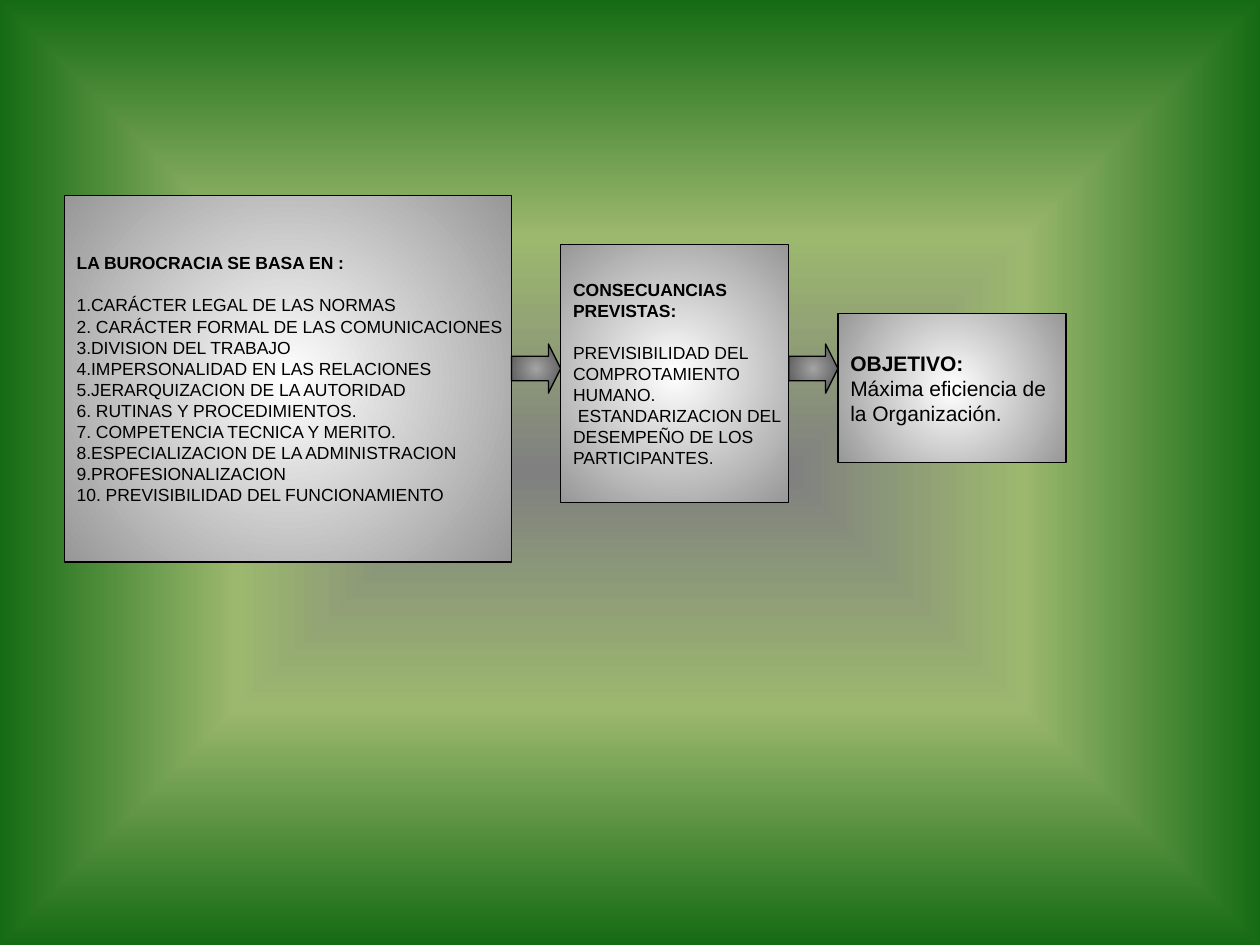
from dataclasses import dataclass
from lxml.etree import SubElement
from pptx import Presentation
from pptx.dml.color import RGBColor
from pptx.enum.shapes import MSO_SHAPE
from pptx.enum.text import MSO_ANCHOR, PP_ALIGN
from pptx.oxml.ns import qn
from pptx.util import Inches, Pt


@dataclass(frozen=True)
class Theme:
    font: str = "Arial"
    ink: RGBColor = RGBColor(0, 0, 0)
    backdrop: tuple = ((0, "808080"), (50, "9CB86E"), (100, "156B13"))
    box: tuple = ((0, "FFFFFF"), (100, "979797"))
    arrow: tuple = ((0, "A4A4A4"), (100, "4C4C4C"))
    list_size: int = 10
    goal_size: int = 12
    line: float = 0.75


def center_gradient(fill, root, stops, path):
    fill.solid()
    solid = root.find(".//" + qn("a:solidFill"))
    grad = solid.makeelement(qn("a:gradFill"), {"rotWithShape": "1"})
    solid.getparent().replace(solid, grad)
    gs_lst = SubElement(grad, qn("a:gsLst"))
    for pos, color in stops:
        gs = SubElement(gs_lst, qn("a:gs"), pos=str(pos * 1000))
        SubElement(gs, qn("a:srgbClr"), val=color)
    shade = SubElement(grad, qn("a:path"), path=path)
    SubElement(shade, qn("a:fillToRect"), l="50000", t="50000", r="50000", b="50000")


def add_block(shapes, kind, left, top, width, height, stops):
    sp = shapes.add_shape(kind, Inches(left), Inches(top), Inches(width), Inches(height))
    sp.shadow.inherit = False
    center_gradient(sp.fill, sp.element.spPr, stops, "circle")
    sp.line.color.rgb = theme.ink
    sp.line.width = Pt(theme.line)
    return sp


theme = Theme()
prs = Presentation()
prs.slide_width, prs.slide_height = Inches(10), Inches(7.5)
s = prs.slides.add_slide(prs.slide_layouts[6])
center_gradient(s.background.fill, s.element, theme.backdrop, "rect")

boxes = [
    (1.55, 3.55, 2.91, theme.list_size, 12, ["LA BUROCRACIA SE BASA EN :"], [
        "1.CARÁCTER LEGAL DE LAS NORMAS",
        "2. CARÁCTER FORMAL DE LAS COMUNICACIONES",
        "3.DIVISION DEL TRABAJO",
        "4.IMPERSONALIDAD EN LAS RELACIONES",
        "5.JERARQUIZACION DE LA AUTORIDAD",
        "6. RUTINAS Y PROCEDIMIENTOS.",
        "7. COMPETENCIA TECNICA Y MERITO.",
        "8.ESPECIALIZACION DE LA ADMINISTRACION",
        "9.PROFESIONALIZACION",
        "10. PREVISIBILIDAD DEL FUNCIONAMIENTO",
    ]),
    (1.94, 1.81, 2.05, theme.list_size, 12, ["CONSECUANCIAS", "PREVISTAS:"], [
        "PREVISIBILIDAD DEL",
        "COMPROTAMIENTO",
        "HUMANO.",
        " ESTANDARIZACION DEL",
        "DESEMPEÑO DE LOS",
        "PARTICIPANTES.",
    ]),
    (2.49, 1.81, 1.18, theme.goal_size, 0, ["OBJETIVO:"], [
        "Máxima eficiencia de",
        "la Organización.",
    ]),
]
arrow_top, arrow_side = 2.73, 0.39

flow = s.shapes.add_group_shape().shapes
left = 0.51
for n, (top, width, height, size, gap, heading, body) in enumerate(boxes):
    if n:
        sp = add_block(flow, MSO_SHAPE.RIGHT_ARROW, left, arrow_top,
                       arrow_side, arrow_side, theme.arrow)
        sp.adjustments[0], sp.adjustments[1] = 0.5, 0.25
        left += arrow_side
    sp = add_block(flow, MSO_SHAPE.RECTANGLE, left, top, width, height, theme.box)
    left += width
    tf = sp.text_frame
    tf.word_wrap = False
    tf.vertical_anchor = MSO_ANCHOR.MIDDLE
    for i, text in enumerate(heading + body):
        p = tf.add_paragraph() if i else tf.paragraphs[0]
        p.alignment = PP_ALIGN.JUSTIFY
        if i == len(heading) and gap:
            p.space_before = Pt(gap)
        r = p.add_run()
        r.text = text
        r.font.name = theme.font
        r.font.size = Pt(size)
        r.font.bold = i < len(heading)
        r.font.color.rgb = theme.ink

prs.save("out.pptx")
